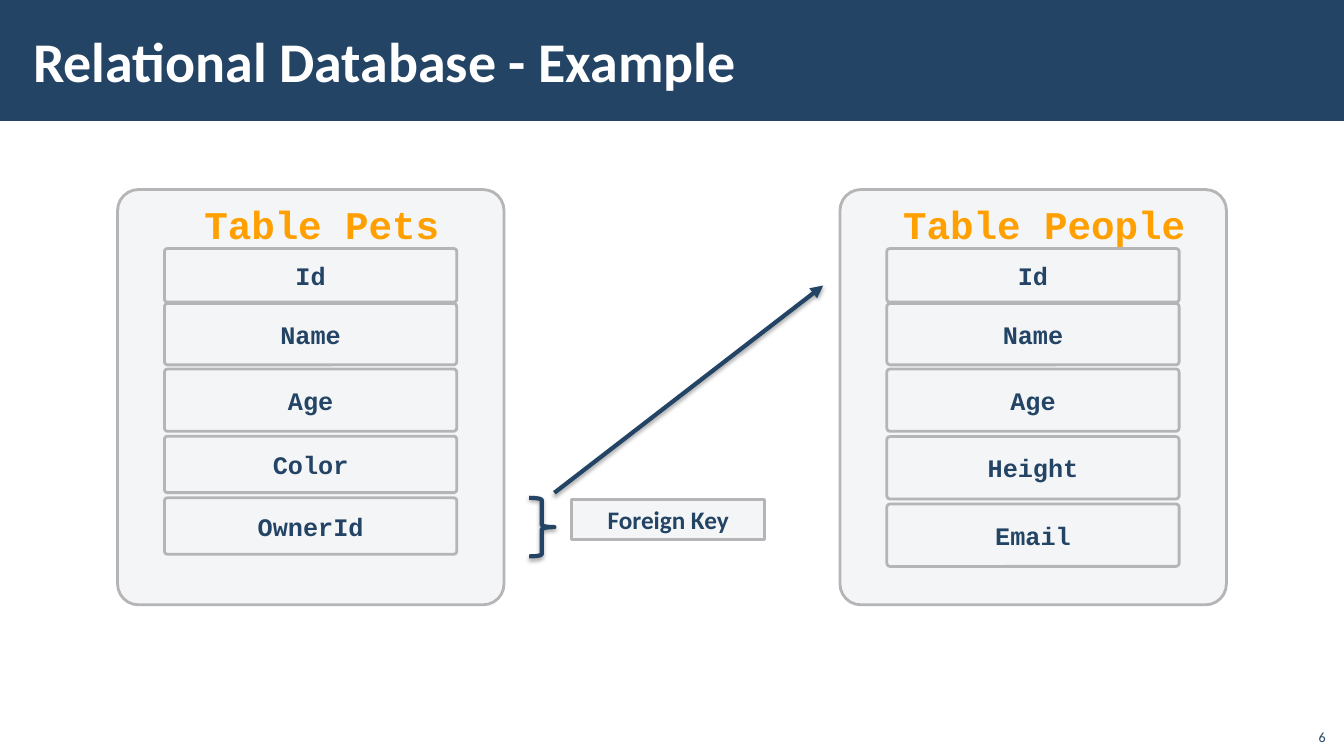
from dataclasses import dataclass

from lxml.etree import SubElement
from pptx import Presentation
from pptx.dml.color import RGBColor
from pptx.enum.shapes import MSO_CONNECTOR as Connector, MSO_SHAPE as Shape
from pptx.enum.text import MSO_ANCHOR as Anchor, PP_ALIGN as Align
from pptx.oxml.ns import qn
from pptx.util import Pt


@dataclass(frozen=True)
class Theme:
    navy: str = "234465"
    panel: str = "F4F5F7"
    border: str = "B5B5B7"
    accent: str = "FFA000"
    white: str = "FFFFFF"
    shadow: str = "000000"
    sans: str = "Calibri"
    mono: str = "Courier New"
    title_size: int = 40
    heading_size: int = 28
    label_size: int = 18
    number_size: int = 10
    thin: int = 2
    thick: int = 3


class SlideBuilder:
    def __init__(self, deck, theme):
        self.theme = theme
        self.page = deck.slides.add_slide(deck.slide_layouts[5])

    def set_text(self, box, text, size, color, font, bold=True, align=Align.CENTER,
                 anchor=Anchor.MIDDLE, **frame_format):
        frame = box.text_frame
        frame.text = text
        frame_values = {"word_wrap": True, "vertical_anchor": anchor, **frame_format}
        para = frame.paragraphs[0]
        para.alignment = align
        span = para.runs[0].font
        span.color.rgb = RGBColor.from_string(color)
        font_values = {"name": font, "size": Pt(size), "bold": bold}
        for target, values in ((frame, frame_values), (span, font_values)):
            for name, value in values.items():
                setattr(target, name, value)

    def stroke(self, item, color, width):
        item.line.color.rgb = RGBColor.from_string(color)
        item.line.width = Pt(width)

    def cast_shadow(self, item):
        properties = item._element.spPr
        effects = properties.find(qn("a:effectLst"))
        if effects is None:
            effects = SubElement(properties, qn("a:effectLst"))
        shadow = SubElement(effects, qn("a:outerShdw"), blurRad=str(Pt(3.1)),
                            dist=str(Pt(1.8)), dir="5400000", rotWithShape="0")
        color = SubElement(shadow, qn("a:srgbClr"), val=self.theme.shadow)
        SubElement(color, qn("a:alpha"), val="35000")

    def shape(self, kind, left, top, width, height, fill=None, line=None,
              line_width=0, rounding=None):
        box = self.page.shapes.add_shape(kind, Pt(left), Pt(top), Pt(width), Pt(height))
        box.shadow.inherit = False
        if fill:
            box.fill.solid()
            box.fill.fore_color.rgb = RGBColor.from_string(fill)
        else:
            box.fill.background()
        if line:
            self.stroke(box, line, line_width)
        else:
            box.line.fill.background()
        if rounding is not None:
            box.adjustments[0] = rounding
        return box

    def panel(self, kind, left, top, width, height, rounding=None):
        theme = self.theme
        return self.shape(kind, left, top, width, height, theme.panel,
                          theme.border, theme.thin, rounding)

    def title(self, text):
        theme = self.theme
        bar = self.shape(Shape.RECTANGLE, 0, 0, 960, 86.4, theme.navy)
        self.page.shapes._spTree.insert(2, bar._element)
        title = self.page.shapes.title
        place = {"left": 15.1, "top": 7.9, "width": 765.4, "height": 69.8}
        for name, value in place.items():
            setattr(title, name, Pt(value))
        self.set_text(title, text, theme.title_size, theme.white, theme.sans,
                      align=Align.LEFT, margin_left=Pt(8.5), margin_right=Pt(8.5))

    def database_table(self, left, heading, heading_inset, rows):
        """Draw a rounded card with a heading and (name, top, height) fields."""
        theme = self.theme
        card = self.panel(Shape.ROUNDED_RECTANGLE, left, 135.4, 276, 296.6, 0.054)
        self.set_text(card, heading, theme.heading_size, theme.accent, theme.mono,
                      align=Align.LEFT, anchor=Anchor.TOP, margin_left=Pt(heading_inset))
        for name, top, height in rows:
            field = self.panel(Shape.ROUNDED_RECTANGLE, left + 33.5, top, 208.8, height, 0.053)
            self.set_text(field, name, theme.label_size, theme.navy, theme.mono)

    def brace(self, left, top, width, height):
        brace = self.shape(Shape.RIGHT_BRACE, left, top, width, height,
                           line=self.theme.navy, line_width=self.theme.thick)
        self.cast_shadow(brace)

    def label(self, text, left, top, width, height):
        box = self.panel(Shape.RECTANGLE, left, top, width, height)
        self.set_text(box, text, self.theme.label_size, self.theme.navy, self.theme.sans)

    def arrow(self, start, end):
        points = [Pt(value) for value in (*start, *end)]
        arrow = self.page.shapes.add_connector(Connector.STRAIGHT, *points)
        self.stroke(arrow, self.theme.navy, self.theme.thick)
        SubElement(arrow._element.spPr.find(qn("a:ln")), qn("a:tailEnd"), type="triangle")
        self.cast_shadow(arrow)

    def page_number(self, text):
        theme = self.theme
        box = self.page.shapes.add_textbox(Pt(925.2), Pt(512.6), Pt(28.8), Pt(23))
        self.set_text(box, text, theme.number_size, theme.navy, theme.sans, bold=False,
                      align=Align.RIGHT, anchor=Anchor.BOTTOM)


def main():
    deck = Presentation()
    deck.slide_width, deck.slide_height = Pt(960), Pt(540)
    builder = SlideBuilder(deck, Theme())
    builder.title("Relational Database - Example")

    shared_rows = [("Id", 177.6, 38.2), ("Name", 216.7, 43.9), ("Age", 263.5, 44.6)]
    pet_rows = [("Color", 311.6, 40.3), ("OwnerId", 355.6, 40.3)]
    people_rows = [("Height", 311.8, 44.6), ("Email", 360, 44.6)]
    builder.database_table(84, "Table Pets", 57.6, shared_rows + pet_rows)
    builder.brace(378, 355.6, 18, 41.8)
    builder.label("Foreign Key", 408.2, 356.6, 138.2, 28.8)
    builder.database_table(600, "Table People", 40.8, shared_rows + people_rows)
    builder.arrow((396, 352), (588, 204))
    builder.page_number("6")
    deck.save("out.pptx")


if __name__ == "__main__":
    main()
